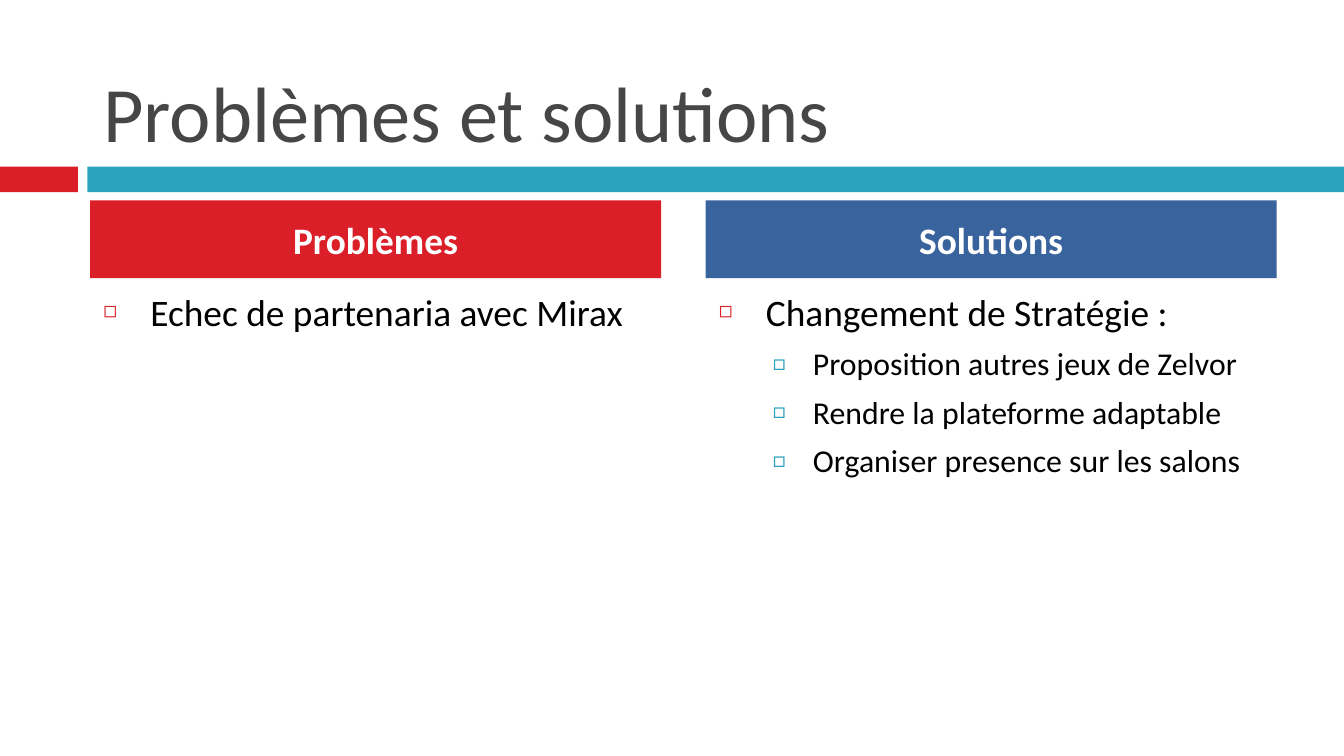
from lxml.etree import SubElement
from pptx import Presentation
from pptx.dml.color import RGBColor
from pptx.enum.shapes import MSO_SHAPE
from pptx.enum.text import MSO_ANCHOR, PP_ALIGN
from pptx.oxml.ns import qn
from pptx.util import Inches, Pt

RED, TEAL, BLUE = "DA1F28", "2DA2BF", "39639D"
GREY, BLACK, WHITE = "464646", "000000", "FFFFFF"

# level: (text size, space before, left indent, hanging, bullet, colour, percent)
LEVELS = [
    (20, 7, 0.35, 0.35, "\u25fb", RED, 60),
    (17, 5.5, 0.7, 0.3, "\u25a1", TEAL, 70),
]


def colour(value):
    """Turn a hex string into a colour."""
    return RGBColor.from_string(value)


class SlideBuilder:
    """Holds the style and the current slide."""

    font_name = "Calibri"

    def __init__(self, page):
        """Keep the slide that receives the elements."""
        self.page = page

    def style(self, para, text, size, ink, bold=False):
        """Write a paragraph in the slide's font."""
        para.text = text
        para.font.name = self.font_name
        para.font.size = Pt(size)
        para.font.bold = bold
        para.font.color.rgb = colour(ink)

    def bar(self, left, top, width, height, fill):
        """Add a plain filled rectangle."""
        shape = self.page.shapes.add_shape(
            MSO_SHAPE.RECTANGLE, *map(Inches, (left, top, width, height)))
        shape.shadow.inherit = False
        shape.fill.solid()
        shape.fill.fore_color.rgb = colour(fill)
        shape.line.fill.background()
        return shape

    def header(self, left, top, width, height, fill, text):
        """Add a column header: a bar with centred bold text."""
        frame = self.bar(left, top, width, height, fill).text_frame
        frame.vertical_anchor = MSO_ANCHOR.MIDDLE
        para = frame.paragraphs[0]
        self.style(para, text, 20, WHITE, bold=True)
        para.alignment = PP_ALIGN.CENTER
        para.space_before = Pt(7)

    def text_box(self, left, top, width, height):
        """Add a wrapping text box and return its text frame."""
        box = self.page.shapes.add_textbox(
            *map(Inches, (left, top, width, height)))
        box.text_frame.word_wrap = True
        return box.text_frame

    def title(self, left, top, width, height, text):
        """Add the title, resting on the bottom of its box."""
        frame = self.text_box(left, top, width, height)
        frame.vertical_anchor = MSO_ANCHOR.BOTTOM
        self.style(frame.paragraphs[0], text, 42, GREY)

    def bullets(self, left, top, width, height, items):
        """Add a bulleted list of (level, text) items."""
        frame = self.text_box(left, top, width, height)
        for index, (level, text) in enumerate(items):
            para = frame.add_paragraph() if index else frame.paragraphs[0]
            size, before, indent, hanging, mark, tint, percent = LEVELS[level]
            self.style(para, text, size, BLACK)
            para.level = level
            para.space_before = Pt(before)
            self.bullet(para, indent, hanging, mark, tint, percent)

    def bullet(self, para, indent, hanging, mark, tint, percent):
        """Give a paragraph a hanging indent and a coloured bullet."""
        props = para._p.get_or_add_pPr()
        props.set("marL", str(Inches(indent)))
        props.set("indent", str(-Inches(hanging)))
        bullet_colour = SubElement(props, qn("a:buClr"))
        SubElement(bullet_colour, qn("a:srgbClr"), val=tint)
        SubElement(props, qn("a:buSzPct"), val=str(percent * 1000))
        SubElement(props, qn("a:buFont"), typeface=self.font_name)
        SubElement(props, qn("a:buChar"), char=mark)
        # Bullet elements must precede the default run properties.
        defaults = props.find(qn("a:defRPr"))
        if defaults is not None:
            props.append(defaults)


deck = Presentation()
deck.slide_width, deck.slide_height = Inches(10), Inches(10 * 9 / 16)
slide = SlideBuilder(deck.slides.add_slide(deck.slide_layouts[6]))

slide.bar(0, 1.24, 0.58, 0.19, RED)
slide.bar(0.65, 1.24, 9.35, 0.19, TEAL)
slide.title(0.67, 0.13, 8.92, 1.1, "Problèmes et solutions")

columns = [
    (0.67, "Problèmes", RED, [(0, "Echec de partenaria avec Mirax")]),
    (5.25, "Solutions", BLUE, [
        (0, "Changement de Stratégie :"),
        (1, "Proposition autres jeux de Zelvor"),
        (1, "Rendre la plateforme adaptable"),
        (1, "Organiser presence sur les salons"),
    ]),
]
for left, heading, fill, items in columns:
    slide.bullets(left, 2.1, 4.25, 2.88, items)
    slide.header(left, 1.49, 4.25, 0.58, fill, heading)

deck.save("out.pptx")
